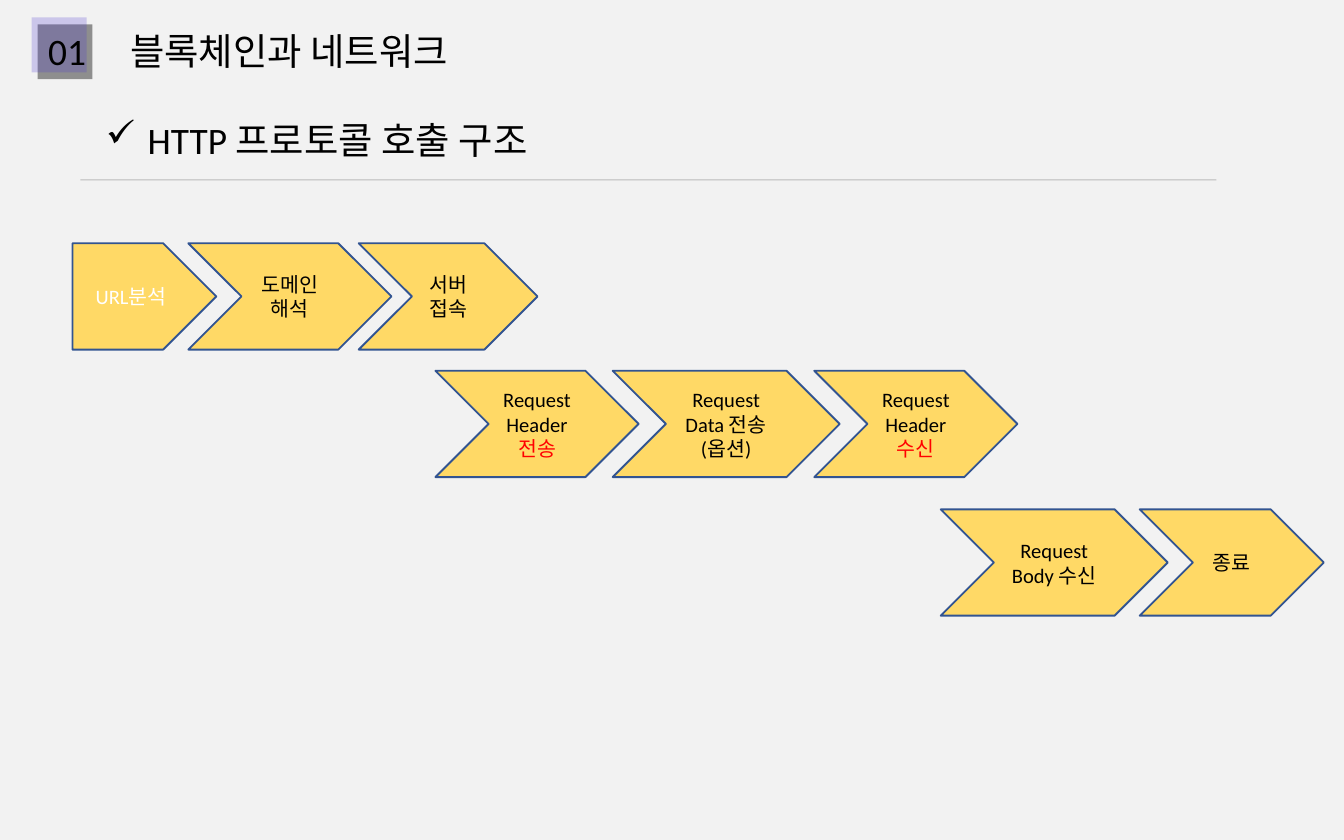
from dataclasses import dataclass

import lxml.etree
import pptx
import pptx.dml.color
import pptx.enum.shapes
import pptx.enum.text
import pptx.oxml.ns
import pptx.util

Cm = pptx.util.Cm
Pt = pptx.util.Pt
Shape = pptx.enum.shapes.MSO_SHAPE
Align = pptx.enum.text.PP_ALIGN
Anchor = pptx.enum.text.MSO_ANCHOR
qn = pptx.oxml.ns.qn


@dataclass(frozen=True)
class Theme:
    font: str = "Calibri"
    background: str = "F2F2F2"
    ink: str = "000000"
    light: str = "FFFFFF"
    accent: str = "FF0000"
    violet: str = "4A36D0"
    rule: str = "0D0D0D"
    step_fill: str = "FFD966"
    step_line: str = "325491"
    heading_size: int = 20
    step_size: int = 11


THEME = Theme()
STEP_HEIGHT = 2.01

STEP_ROWS = [
    (4.6, [
        (1.37, 2.72, [("URL분석", THEME.light)]),
        (3.56, 3.84, [("도메인해석", THEME.ink)]),
        (6.78, 3.38, [("서버접속", THEME.ink)]),
    ]),
    (7.01, [
        (8.23, 3.84, [("Request Header ", THEME.ink), ("전송", THEME.accent)]),
        (11.58, 4.29, [("Request Data 전송(옵션)", THEME.ink)]),
        (15.39, 3.84, [("Request Header ", THEME.ink), ("수신", THEME.accent)]),
    ]),
    (9.63, [
        (17.78, 4.29, [("Request Body 수신", THEME.ink)]),
        (21.54, 3.48, [("종료", THEME.ink)]),
    ]),
]


def rgb(color):
    return pptx.dml.color.RGBColor.from_string(color)


def set_alpha(element, percent):
    color = next(element.iter(qn("a:srgbClr")))
    lxml.etree.SubElement(color, qn("a:alpha")).set("val", str(percent * 1000))


def add_span(para, text, size, color):
    span = para.add_run()
    span.text = text
    span.font.name = THEME.font
    span.font.size = Pt(size)
    span.font.color.rgb = rgb(color)


def add_tinted_square(page, left, top, color, percent):
    square = page.shapes.add_shape(Shape.RECTANGLE, Cm(left), Cm(top), Cm(1.04), Cm(1.04))
    square.shadow.inherit = False
    square.fill.solid()
    square.fill.fore_color.rgb = rgb(color)
    square.line.fill.background()
    set_alpha(square.fill._xPr, percent)


def add_rule(page, left, right, top):
    rule = page.shapes.add_connector(
        pptx.enum.shapes.MSO_CONNECTOR.STRAIGHT, Cm(left), Cm(top), Cm(right), Cm(top))
    rule.line.width = Pt(0.5)
    rule.line.color.rgb = rgb(THEME.rule)
    properties = rule._element.spPr
    set_alpha(properties, 23)
    lxml.etree.SubElement(properties, qn("a:effectLst"))


def add_heading(page, left, top, width, text, bullet=None):
    box = page.shapes.add_textbox(Cm(left), Cm(top), Cm(width), Cm(0.9))
    box.text_frame.word_wrap = True
    para = box.text_frame.paragraphs[0]
    para.line_spacing = 0.9
    if bullet:
        properties = para._p.get_or_add_pPr()
        properties.set("marL", str(Cm(0.79)))
        properties.set("indent", str(-Cm(0.79)))
        lxml.etree.SubElement(properties, qn("a:buChar")).set("char", bullet)
    add_span(para, text, THEME.heading_size, THEME.ink)


def add_step(page, preset, left, top, width, spans):
    step = page.shapes.add_shape(preset, Cm(left), Cm(top), Cm(width), Cm(STEP_HEIGHT))
    step.shadow.inherit = False
    step.fill.solid()
    step.fill.fore_color.rgb = rgb(THEME.step_fill)
    step.line.color.rgb = rgb(THEME.step_line)
    step.line.width = Pt(1)
    frame = step.text_frame
    frame.word_wrap = True
    frame.vertical_anchor = Anchor.MIDDLE
    para = frame.paragraphs[0]
    para.alignment = Align.CENTER
    for text, color in spans:
        add_span(para, text, THEME.step_size, color)


def add_process(page):
    preset = Shape.PENTAGON
    for top, steps in STEP_ROWS:
        for left, width, spans in steps:
            add_step(page, preset, left, top, width, spans)
            preset = Shape.CHEVRON


def main():
    deck = pptx.Presentation()
    deck.slide_width = Cm(25.4)
    deck.slide_height = Cm(15.88)
    page = deck.slides.add_slide(deck.slide_layouts[6])
    page.background.fill.solid()
    page.background.fill.fore_color.rgb = rgb(THEME.background)

    add_tinted_square(page, 0.71, 0.46, THEME.ink, 41)
    add_tinted_square(page, 0.6, 0.33, THEME.violet, 23)
    add_rule(page, 1.52, 22.99, 3.4)
    add_heading(page, 1.75, 2.18, 21.9, "HTTP 프로토콜 호출 구조", bullet="✓")
    add_heading(page, 2.21, 0.51, 21.9, "블록체인과 네트워크")
    add_heading(page, 0.66, 0.51, 1.42, "01")
    add_process(page)
    deck.save("out.pptx")


if __name__ == "__main__":
    main()
